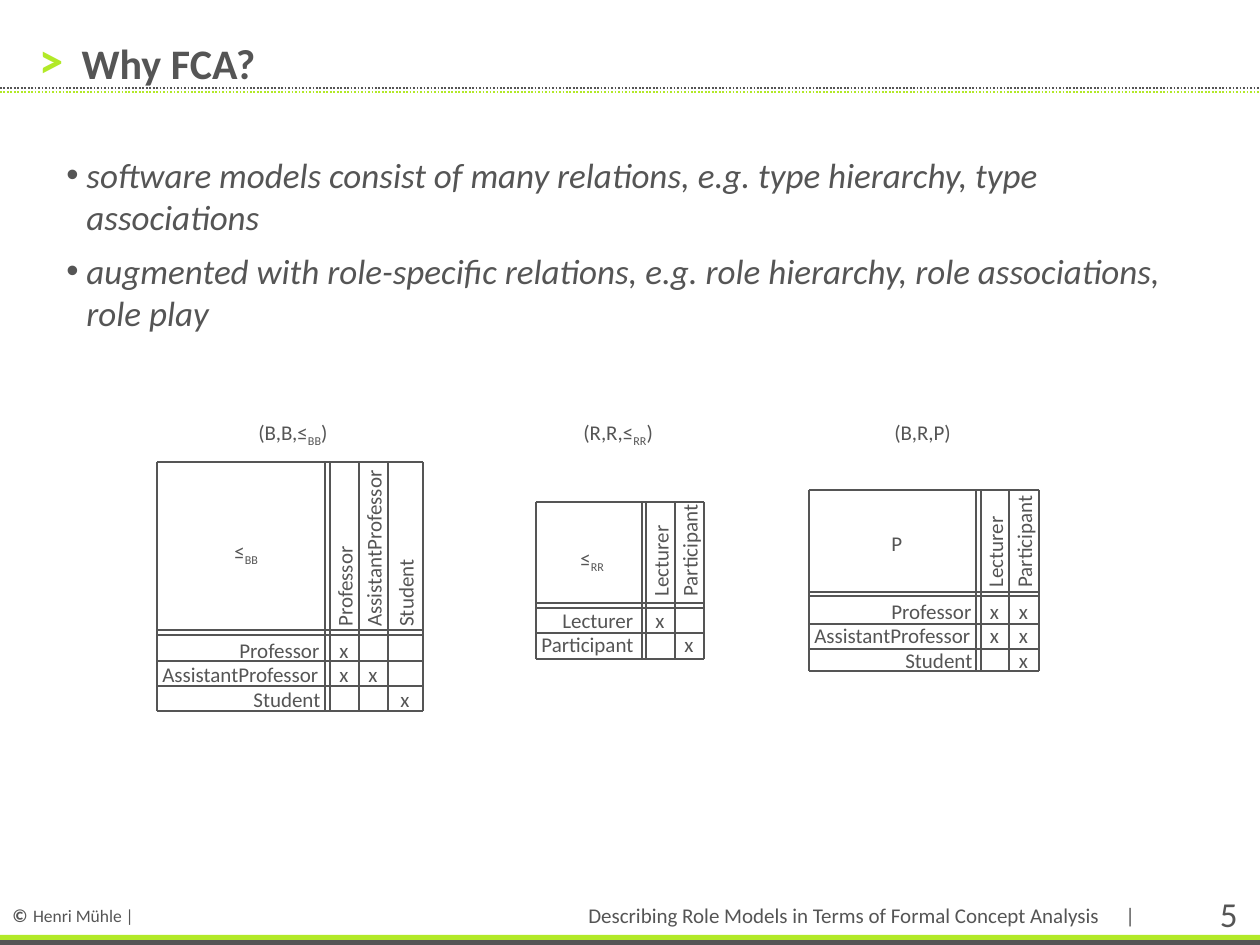
"""Build the slide "Why FCA?" with three cross tables of formal contexts."""
from lxml.etree import SubElement
from pptx import Presentation
from pptx.dml.color import RGBColor
from pptx.enum.dml import MSO_LINE
from pptx.enum.shapes import MSO_CONNECTOR, MSO_SHAPE
from pptx.enum.text import MSO_ANCHOR, MSO_AUTO_SIZE, PP_ALIGN
from pptx.oxml.ns import qn
from pptx.util import Pt

PX = 914400 // 126
GREY = RGBColor(0x55, 0x55, 0x55)
GREEN = RGBColor(0xB2, 0xE9, 0x28)
FONT = "Calibri"
SUB = "-25000"
LABEL_WIDTH = {"Professor": 107, "AssistantProfessor": 184, "Student": 93,
               "Lecturer": 97, "Participant": 118}
ROW_STEP = 24.5
BOX_H = 38


def add_text(shapes, x, y, w, h, parts, size=12, color=GREY, wrap=False,
             align=PP_ALIGN.LEFT, anchor=MSO_ANCHOR.TOP):
    """Add one line of text; every second part is a subscript."""
    sp = shapes.add_textbox(int(x * PX), int(y * PX), w * PX, h * PX)
    tf = sp.text_frame
    tf.word_wrap = wrap
    tf.auto_size = MSO_AUTO_SIZE.NONE if wrap else MSO_AUTO_SIZE.SHAPE_TO_FIT_TEXT
    tf.vertical_anchor = anchor
    p = tf.paragraphs[0]
    p.alignment = align
    for i, part in enumerate(parts):
        r = p.add_run()
        r.text = part
        r.font.name, r.font.size = FONT, Pt(size)
        r.font.color.rgb = color
        if i % 2:
            r.font._element.set("baseline", SUB)
    return sp


def add_line(shapes, x1, y1, x2, y2, color=GREY):
    """Add a straight line one point wide."""
    line = shapes.add_connector(MSO_CONNECTOR.STRAIGHT,
                                x1 * PX, y1 * PX, x2 * PX, y2 * PX)
    line.line.color.rgb = color
    line.line.width = Pt(1)
    SubElement(line._element.spPr, qn("a:effectLst"))
    return line


prs = Presentation()
prs.slide_width, prs.slide_height = 1260 * PX, 945 * PX
s = prs.slides.add_slide(prs.slide_layouts[5])

sp = add_text(s.shapes, 0, 892, 276, 43, ["©"], 10.5, wrap=True)
p = sp.text_frame.paragraphs[0]
p.runs[0].font.bold = True
for text, size in [(" ", 14), ("Henri Mühle |", 10)]:
    r = p.add_run()
    r.text = text
    r.font.name, r.font.size = FONT, Pt(size)
    r.font.color.rgb = GREY

for y, color in [(940, GREY), (935, GREEN)]:
    bar = s.shapes.add_shape(MSO_SHAPE.RECTANGLE, 0, y * PX, 1260 * PX, 5 * PX)
    bar.shadow.inherit = False
    bar.fill.solid()
    bar.fill.fore_color.rgb = color
    bar.line.fill.background()

for y, color in [(88, GREY), (92, GREEN)]:
    add_line(s.shapes, 0, y, 1260, y, color).line.dash_style = MSO_LINE.ROUND_DOT

add_text(s.shapes, 1113, 896, 29, 39, ["|"], wrap=True, align=PP_ALIGN.RIGHT)
add_text(s.shapes, 1152, 886, 98, 55, ["5"], 20, wrap=True, align=PP_ALIGN.RIGHT)
add_text(s.shapes, 374, 896, 738, BOX_H,
         ["Describing Role Models in Terms of Formal Concept Analysis"],
         wrap=True, align=PP_ALIGN.RIGHT, anchor=MSO_ANCHOR.MIDDLE)
marker = add_text(s.shapes, 39, 29, 29, 59, [">"], 28, GREEN, wrap=True,
                  anchor=MSO_ANCHOR.MIDDLE)
tf = marker.text_frame
tf.margin_left = tf.margin_right = tf.margin_top = tf.margin_bottom = 0
tf.paragraphs[0].runs[0].font.bold = True

title = s.shapes.title
title.left, title.top, title.width, title.height = 69 * PX, 28 * PX, 709 * PX, 70 * PX
tf = title.text_frame
tf.text = "Why FCA?"
tf.auto_size = MSO_AUTO_SIZE.NONE
tf.vertical_anchor = MSO_ANCHOR.MIDDLE
p = tf.paragraphs[0]
p.alignment = PP_ALIGN.LEFT
font = p.runs[0].font
font.name, font.size, font.bold = FONT, Pt(24), True
font.color.rgb = GREY

body = s.shapes.add_textbox(39 * PX, 147 * PX, 1182 * PX, 709 * PX)
tf = body.text_frame
tf.word_wrap = True
tf.text = ("software models consist of many relations, e.g. type hierarchy, type associations\n"
           "augmented with role-specific relations, e.g. role hierarchy, role associations, role play")
for p in tf.paragraphs:
    p.space_before, p.space_after = Pt(3), Pt(4)
    font = p.runs[0].font
    font.name, font.size, font.italic = FONT, Pt(20), True
    font.color.rgb = GREY
    pPr = p._p.get_or_add_pPr()
    pPr.set("marL", str(35 * PX))
    pPr.set("indent", str(-20 * PX))
    SubElement(pPr, qn("a:buFont"), typeface="Arial")
    SubElement(pPr, qn("a:buChar"), char="•")

contexts = [
    dict(xs=[157, 325, 330, 359, 388, 423], ys=[462, 630, 635, 661, 686, 711],
         rows=["Professor", "AssistantProfessor", "Student"],
         cols=["Professor", "AssistantProfessor", "Student"],
         crosses=[(0, 0), (1, 0), (1, 1), (2, 2)], right=334, first=631,
         corner=(222, 532, 52, ["≤", "BB"]),
         caption=(246, 97, ["(B,B,≤", "BB", ")"])),
    dict(xs=[536, 642, 646, 675, 704], ys=[502, 603, 608, 633, 659],
         rows=["Lecturer", "Participant"], cols=["Lecturer", "Participant"],
         crosses=[(0, 0), (1, 1)], right=647, first=601,
         corner=(568, 539, 52, ["≤", "RR"]),
         caption=(571, 98, ["(R,R,≤", "RR", ")"])),
    dict(xs=[809, 976, 981, 1009, 1039], ys=[490, 592, 596, 624, 649, 671],
         rows=["Professor", "AssistantProfessor", "Student"],
         cols=["Lecturer", "Participant"],
         crosses=[(0, 0), (0, 1), (1, 0), (1, 1), (2, 1)], right=986, first=592,
         corner=(879, 524, 37, ["P"]),
         caption=(882, 83, ["(B,R,P)"])),
]

for c in contexts:
    shapes = s.shapes.add_group_shape().shapes
    xs, ys, first = c["xs"], c["ys"], c["first"]
    centers = [(a + b) / 2 for a, b in zip(xs[2:], xs[3:])]
    for i, name in enumerate(c["rows"]):
        w = LABEL_WIDTH[name]
        add_text(shapes, c["right"] - w, first + i * ROW_STEP, w, BOX_H, [name])
    for center, name in zip(centers, c["cols"]):
        w = LABEL_WIDTH[name]
        label = add_text(shapes, center - w / 2, first + 8 - w / 2 - BOX_H / 2,
                         w, BOX_H, [name])
        label.rotation = 270
    for x in xs:
        add_line(shapes, x, ys[0], x, ys[-1])
    for y in ys:
        add_line(shapes, xs[0], y, xs[-1], y)
    for row, col in c["crosses"]:
        add_text(shapes, centers[col] - 17.5, first + row * ROW_STEP, 35, BOX_H, ["x"])
    x, y, w, parts = c["corner"]
    add_text(shapes, x, y, w, BOX_H, parts)
    x, w, parts = c["caption"]
    add_text(s.shapes, x, 413, w, BOX_H, parts)

prs.save("out.pptx")
